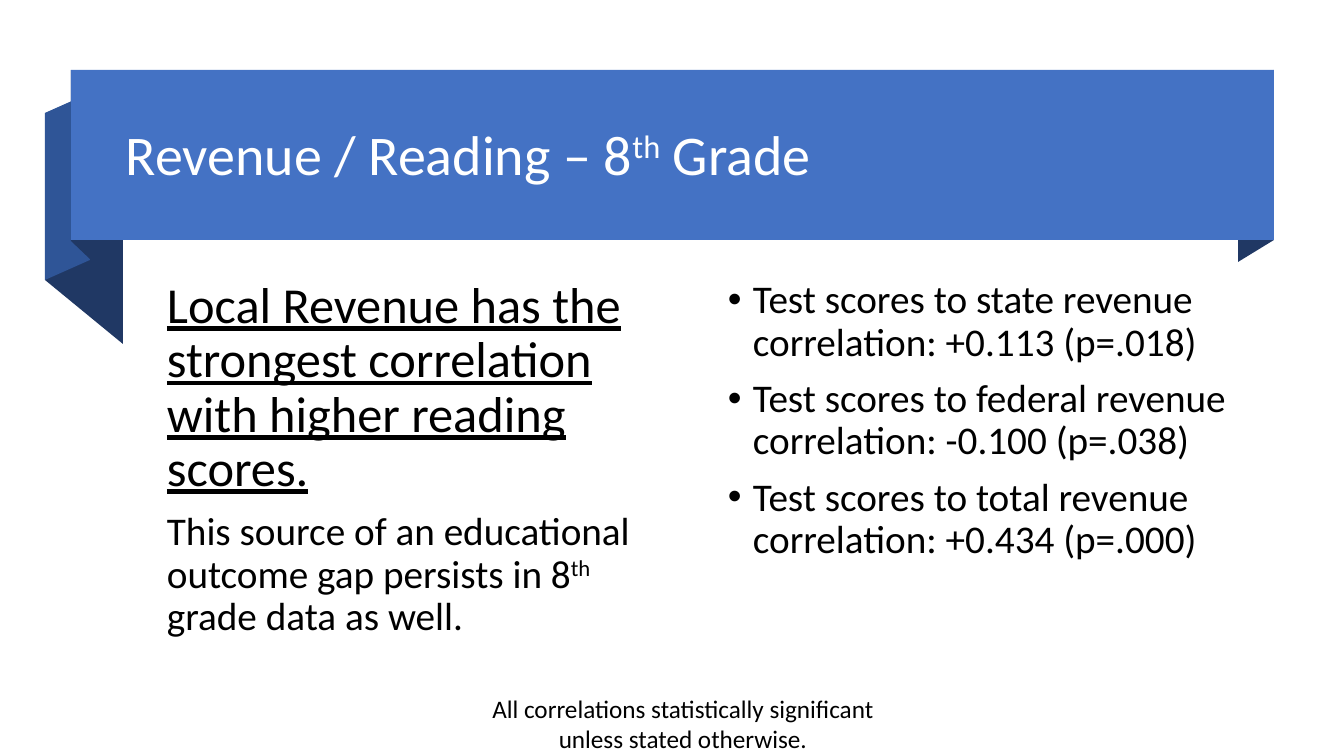
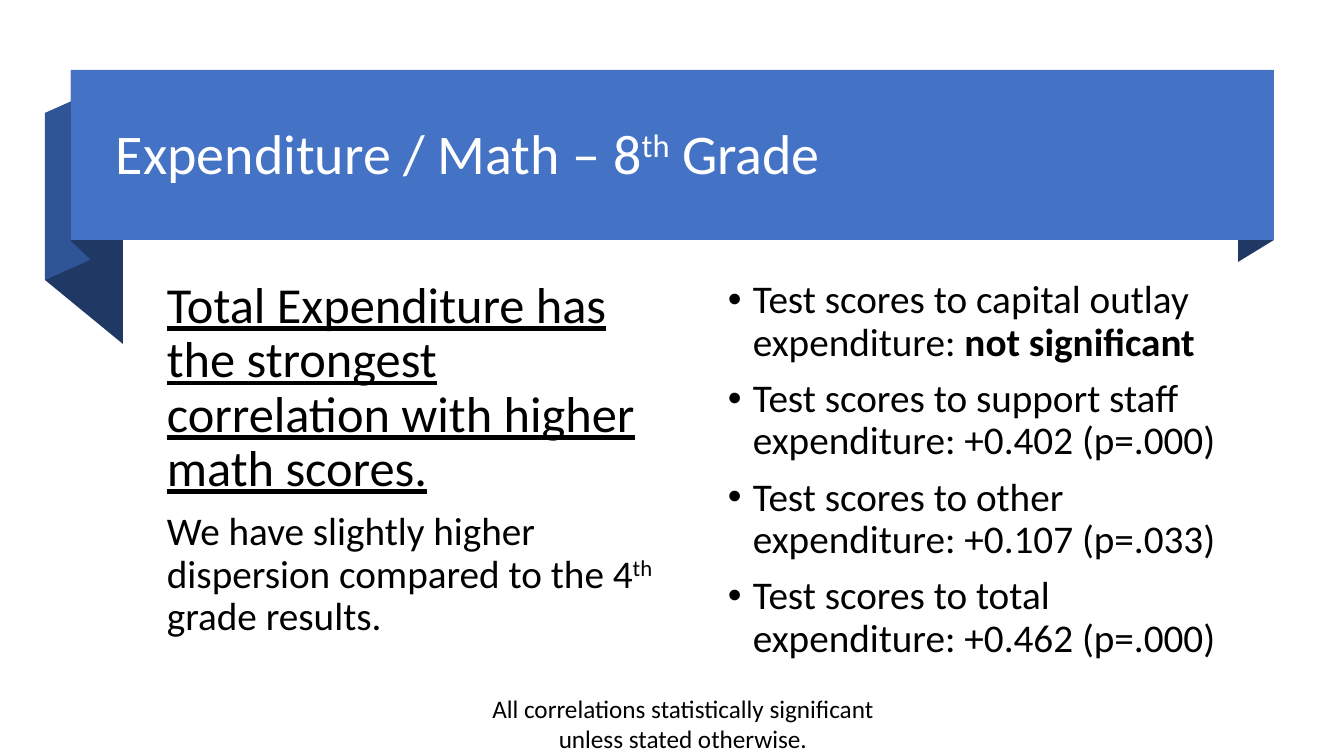
from dataclasses import dataclass

from lxml import etree
from pptx import Presentation
from pptx.dml.color import RGBColor
from pptx.enum.shapes import MSO_SHAPE
from pptx.enum.text import MSO_ANCHOR, MSO_AUTO_SIZE, PP_ALIGN
from pptx.oxml.ns import qn
from pptx.util import Pt

RECTANGLE = MSO_SHAPE.RECTANGLE
MIDDLE = MSO_ANCHOR.MIDDLE
GROW = MSO_AUTO_SIZE.SHAPE_TO_FIT_TEXT
CENTER = PP_ALIGN.CENTER
EMU_PER_PX = 914400 / 100.8


@dataclass(frozen=True)
class Theme:
    """Colours, font and type sizes shared by the slides."""
    font: str = "Calibri"
    band: str = "4472C4"
    side: str = "2F5597"
    fold: str = "203864"
    title_text: str = "FFFFFF"
    body_text: str = "000000"
    title_size: int = 40
    lead_size: int = 36
    body_size: int = 28
    note_size: int = 18
    line_spacing: float = 0.9
    space_before: int = 10
    bullet_indent: int = 25


THEME = Theme()
SLIDE_SIZE = (1344, 756)
BAND = (71, 70, 1203, 170)
FINDING = (157, 275, 515, 393)
CORRELATIONS = (718, 275, 520, 393)
NOTE = (460, 688, 446, 72)
NOTE_TEXT = "All correlations statistically significant unless stated otherwise."


def px(length):
    """Turn pixels into EMU."""
    return round(length * EMU_PER_PX)


def paint(shape, color):
    """Give a shape a flat fill without line or shadow."""
    shape.fill.solid()
    shape.fill.fore_color.rgb = RGBColor.from_string(color)
    shape.line.fill.background()
    shape.shadow.inherit = False


def add_text_frame(slide, box):
    """Add a wrapping text box and return its frame."""
    frame = slide.shapes.add_textbox(*map(px, box)).text_frame
    frame.word_wrap = True
    return frame


def write(paragraph, runs, size, color=THEME.body_text):
    """Write (text, style) runs into a paragraph."""
    for text, style in runs:
        run = paragraph.add_run()
        run.text = text
        font = run.font
        font.name, font.size = THEME.font, Pt(size)
        font.color.rgb = RGBColor.from_string(color)
        if style == "bold":
            font.bold = True
        elif style == "underline":
            font.underline = True
        elif style == "super":
            run._r.get_or_add_rPr().set("baseline", "30000")


def add_bullet(paragraph):
    """Give a paragraph a hanging bullet."""
    properties = paragraph._p.get_or_add_pPr()
    properties.set("marL", str(px(THEME.bullet_indent)))
    properties.set("indent", str(-px(THEME.bullet_indent)))
    etree.SubElement(properties, qn("a:buFont")).set("typeface", "Arial")
    etree.SubElement(properties, qn("a:buChar")).set("char", "•")


def add_ribbon(slide, box):
    """Draw the title band with its folded ends."""
    left, top, width, height = box
    folds = (
        (THEME.fold, ((width, height), (width - 36, height + 22),
                      (width - 36, 22), (width, 0))),
        (THEME.fold, ((52, height + 104), (-26, height + 40), (-26, 43), (52, 106))),
        (THEME.side, ((19, height + 20), (-26, height + 40), (-26, 43), (19, 23))),
        (THEME.fold, ((19, height + 19), (0, height + 1), (0, 0), (19, 20))),
    )
    for color, corners in folds:
        points = [(left + x, top + y) for x, y in corners]
        outline = slide.shapes.build_freeform(*points[0], scale=EMU_PER_PX)
        outline.add_line_segments(points[1:], close=True)
        paint(outline.convert_to_shape(), color)
    paint(slide.shapes.add_shape(RECTANGLE, *map(px, box)), THEME.band)


def add_title(slide, box, runs):
    """Write the title, centred vertically in its box."""
    frame = add_text_frame(slide, box)
    frame.vertical_anchor = MIDDLE
    title = frame.paragraphs[0]
    title.line_spacing = THEME.line_spacing
    write(title, runs, THEME.title_size, THEME.title_text)


def add_column(slide, box, rows, bulleted=False):
    """Write (size, runs) rows as the paragraphs of a column."""
    frame = add_text_frame(slide, box)
    for index, (size, runs) in enumerate(rows):
        paragraph = frame.add_paragraph() if index else frame.paragraphs[0]
        paragraph.line_spacing = THEME.line_spacing
        paragraph.space_before = Pt(THEME.space_before)
        if bulleted:
            add_bullet(paragraph)
        write(paragraph, runs, size)


def add_note(slide, box):
    """Write the centred significance note."""
    frame = add_text_frame(slide, box)
    frame.auto_size = GROW
    note = frame.paragraphs[0]
    note.alignment = CENTER
    write(note, [(NOTE_TEXT, None)], THEME.note_size)


def add_findings_slide(deck, title_box, subject, lead, detail, correlations):
    """Build one slide with a ribbon title, a finding and its correlations."""
    slide = deck.slides.add_slide(deck.slide_layouts[6])
    add_ribbon(slide, BAND)
    add_title(slide, title_box,
              [(f"{subject} – 8", None), ("th", "super"), (" Grade", None)])
    add_column(slide, FINDING, [(THEME.lead_size, [(lead, "underline")]),
                                (THEME.body_size, detail)])
    add_note(slide, NOTE)
    add_column(slide, CORRELATIONS,
               [(THEME.body_size, [(f"Test scores to {measure}: ", None), (value, style)])
                for measure, value, style in correlations], bulleted=True)


def main():
    """Build and save the deck."""
    deck = Presentation()
    deck.slide_width, deck.slide_height = map(px, SLIDE_SIZE)
    add_findings_slide(
        deck, (116, 84, 1136, 146), "Revenue / Reading",
        "Local Revenue has the strongest correlation with higher reading scores.",
        [("This source of an educational outcome gap persists in 8", None),
         ("th", "super"), (" grade data as well.", None)],
        [("state revenue correlation", "+0.113 (p=.018)", None),
         ("federal revenue correlation", "-0.100 (p=.038)", None),
         ("total revenue correlation", "+0.434 (p=.000)", None)])
    add_findings_slide(
        deck, (106, 89, 1132, 134), "Expenditure / Math",
        "Total Expenditure has the strongest correlation with higher math scores.",
        [("We have slightly higher dispersion compared to the 4", None),
         ("th", "super"), (" grade results.", None)],
        [("capital outlay expenditure", "not significant", "bold"),
         ("support staff expenditure", "+0.402 (p=.000)", None),
         ("other expenditure", "+0.107 (p=.033)", None),
         ("total expenditure", "+0.462 (p=.000)", None)])
    deck.save("out.pptx")


main()
